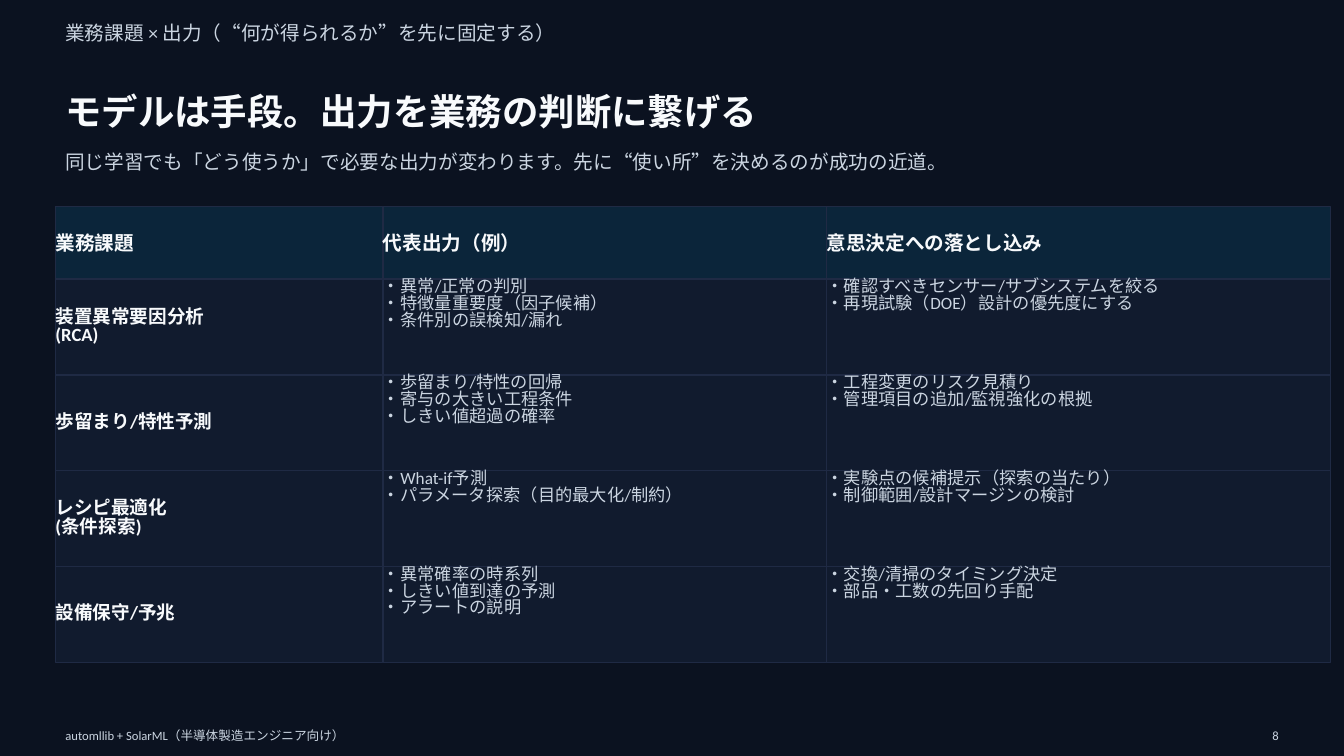
from itertools import accumulate

from pptx import Presentation
from pptx.dml.color import RGBColor
from pptx.enum import shapes, text
from pptx.util import Pt

COLORS = {
    "background": "0B1220",
    "header": "0B253A",
    "body": "111B2E",
    "border": "1F2A44",
    "bright": "F8FAFC",
    "soft": "CBD5E1",
}
FONT = "Calibri"
SLIDE_WIDTH, SLIDE_HEIGHT = 960, 540
LEFT = 39.6
TEXT_WIDTH = SLIDE_WIDTH - 2 * LEFT

GRID_TOP = 147.6
COLUMN_WIDTHS = [234, 316.8, 360]
HEADER_HEIGHT, ROW_HEIGHT = 51.84, 68.4
BODY_SPACING = 0.82
HEADINGS = ["業務課題", "代表出力（例）", "意思決定への落とし込み"]
ROWS = [
    ["装置異常要因分析\n(RCA)",
     "・異常/正常の判別\n・特徴量重要度（因子候補）\n・条件別の誤検知/漏れ",
     "・確認すべきセンサー/サブシステムを絞る\n・再現試験（DOE）設計の優先度にする"],
    ["歩留まり/特性予測",
     "・歩留まり/特性の回帰\n・寄与の大きい工程条件\n・しきい値超過の確率",
     "・工程変更のリスク見積り\n・管理項目の追加/監視強化の根拠"],
    ["レシピ最適化\n(条件探索)",
     "・What-if予測\n・パラメータ探索（目的最大化/制約）",
     "・実験点の候補提示（探索の当たり）\n・制御範囲/設計マージンの検討"],
    ["設備保守/予兆",
     "・異常確率の時系列\n・しきい値到達の予測\n・アラートの説明",
     "・交換/清掃のタイミング決定\n・部品・工数の先回り手配"],
]


def color(name):
    return RGBColor.from_string(COLORS[name])


def write(frame, content, size, tone, bold=False, align=text.PP_ALIGN.LEFT,
          spacing=None):
    frame.text = content
    frame.word_wrap = True
    for para in frame.paragraphs:
        para.alignment = align
        para.line_spacing = spacing
        para.font.name = FONT
        para.font.size = Pt(size)
        para.font.bold = bold
        para.font.color.rgb = color(tone)


def add_text(page, left, top, width, height, content, size, tone="soft", **style):
    box = page.shapes.add_textbox(Pt(left), Pt(top), Pt(width), Pt(height))
    box.text_frame.vertical_anchor = text.MSO_ANCHOR.MIDDLE
    write(box.text_frame, content, size, tone, **style)


def add_box(page, left, top, width, height, fill, border):
    box = page.shapes.add_shape(shapes.MSO_SHAPE.RECTANGLE,
                                Pt(left), Pt(top), Pt(width), Pt(height))
    box.shadow.inherit = False
    box.fill.solid()
    box.fill.fore_color.rgb = color(fill)
    box.line.color.rgb = color(border)
    box.line.width = Pt(1)
    return box


def add_band(page, top, height):
    add_box(page, 0, top, SLIDE_WIDTH, height, "background", "background")


def add_row(page, top, height, fill, contents, styles):
    lefts = accumulate(COLUMN_WIDTHS, initial=LEFT)
    for left, width, content, style in zip(lefts, COLUMN_WIDTHS, contents, styles):
        frame = add_box(page, left, top, width, height, fill, "border").text_frame
        frame.margin_left = frame.margin_right = 0
        frame.margin_top = frame.margin_bottom = 0
        bold = style.get("bold", False)
        frame.vertical_anchor = text.MSO_ANCHOR.MIDDLE if bold else text.MSO_ANCHOR.TOP
        write(frame, content, **style)


def add_output_grid(page):
    heading = dict(size=14, tone="bright", bold=True)
    task = dict(size=13.3, tone="bright", bold=True, spacing=BODY_SPACING)
    detail = dict(size=12.3, tone="soft", spacing=BODY_SPACING)
    add_row(page, GRID_TOP, HEADER_HEIGHT, "header", HEADINGS, [heading] * 3)
    for index, row in enumerate(ROWS):
        top = GRID_TOP + HEADER_HEIGHT + index * ROW_HEIGHT
        add_row(page, top, ROW_HEIGHT, "body", row, [task, detail, detail])


def main():
    deck = Presentation()
    deck.slide_width, deck.slide_height = Pt(SLIDE_WIDTH), Pt(SLIDE_HEIGHT)
    page = deck.slides.add_slide(deck.slide_layouts[6])
    page.background.fill.solid()
    page.background.fill.fore_color.rgb = color("background")

    # Header band and titles
    add_band(page, 0, 44.64)
    add_text(page, LEFT, 10.8, TEXT_WIDTH, 25.2,
             "業務課題 × 出力（“何が得られるか”を先に固定する）", 14)
    add_text(page, LEFT, 61.2, TEXT_WIDTH, 36,
             "モデルは手段。出力を業務の判断に繋げる", 26, "bright", bold=True)
    add_text(page, LEFT, 97.2, TEXT_WIDTH, 36,
             "同じ学習でも「どう使うか」で必要な出力が変わります。先に“使い所”を決めるのが成功の近道。", 14)

    # Tasks, outputs and decisions
    add_output_grid(page)

    # Footer band
    add_band(page, 507.6, 32.4)
    add_text(page, LEFT, 516.24, 808.8, 18,
             "automllib + SolarML（半導体製造エンジニア向け）", 9)
    add_text(page, 898.8, 516.24, 21.6, 18, "8", 9, align=text.PP_ALIGN.RIGHT)

    deck.save("out.pptx")


if __name__ == "__main__":
    main()
